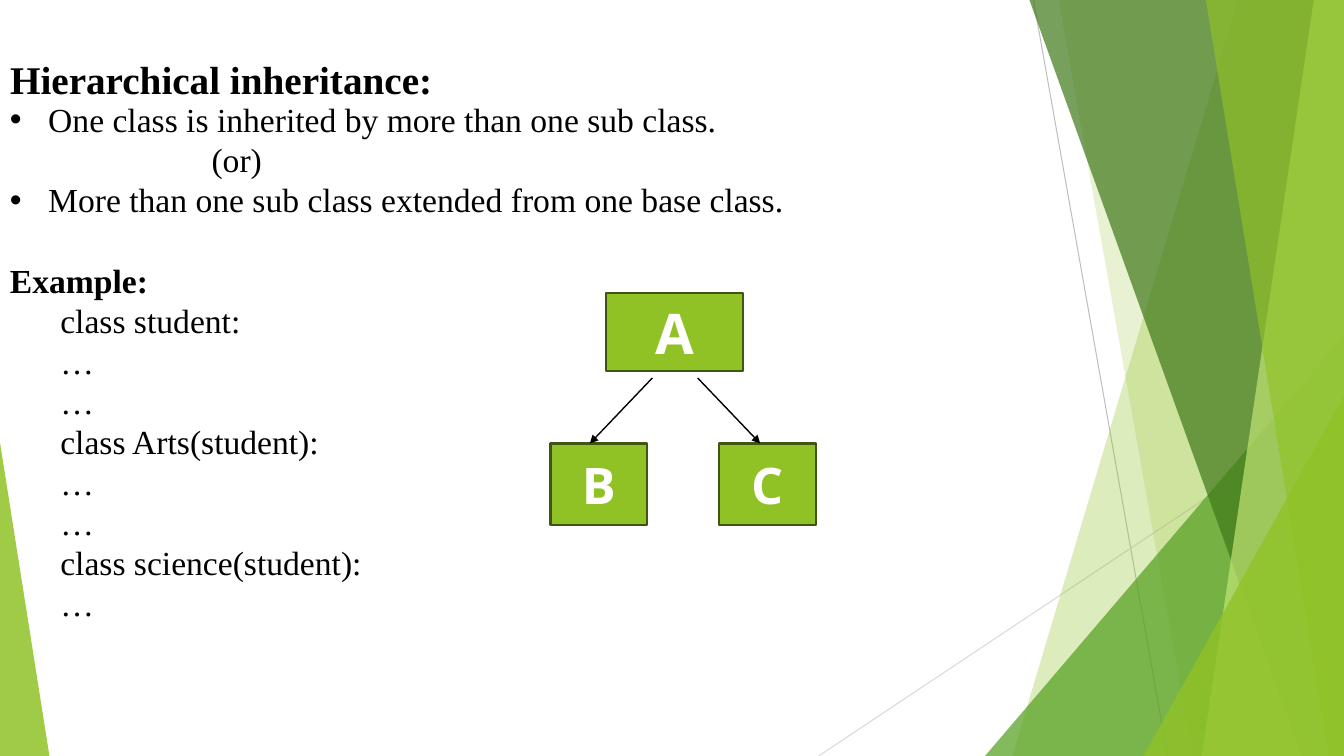
from dataclasses import dataclass

from lxml import etree
from pptx import Presentation
from pptx import util as u
from pptx.dml.color import RGBColor
from pptx.enum import shapes, text
from pptx.oxml import ns

WIDTH, HEIGHT = 13.33, 7.5


@dataclass(frozen=True)
class Theme:
    body_font: str = "Times New Roman"
    node_font: str = "Noto Sans"
    title_size: int = 28
    body_size: int = 24
    line_pitch: float = 28.8
    ink: str = "000000"
    white: str = "FFFFFF"
    lime: str = "90C226"
    green: str = "54A021"
    forest: str = "3F7819"
    pale: str = "C0E474"
    outline: str = "3F5511"
    gray: str = "BFBFBF"
    light_gray: str = "D9D9D9"


class SlideBuilder:
    def __init__(self, prs, theme):
        self.theme = theme
        self.slide = prs.slides.add_slide(prs.slide_layouts[5])
        self.shapes = self.slide.shapes

    def fill(self, sp, color, opacity=100):
        sp.shadow.inherit = False
        sp.fill.solid()
        sp.fill.fore_color.rgb = RGBColor.from_string(color)
        if opacity < 100:
            clr = sp.fill._xPr.find(".//" + ns.qn("a:srgbClr"))
            etree.SubElement(clr, ns.qn("a:alpha"), val=str(opacity * 1000))

    def font(self, p, name, size, color, bold=False):
        p.font.name, p.font.size, p.font.bold = name, u.Pt(size), bold
        p.font.color.rgb = RGBColor.from_string(color)

    def line(self, start, end, color, width, arrow=False):
        sp = self.shapes.add_connector(
            shapes.MSO_CONNECTOR.STRAIGHT, *map(u.Inches, start + end))
        sp.line.color.rgb = RGBColor.from_string(color)
        sp.line.width = u.Pt(width)
        if arrow:
            etree.SubElement(sp.line._get_or_add_ln(), ns.qn("a:tailEnd"), type="triangle")
        etree.SubElement(sp._element.spPr, ns.qn("a:effectLst"))

    def band(self, top_x, bottom_x, color, opacity):
        """Facet from a slanted left edge to the right side of the slide."""
        pen = self.shapes.build_freeform(u.Inches(top_x), 0)
        corners = [(WIDTH, 0), (WIDTH, HEIGHT), (bottom_x, HEIGHT)]
        pen.add_line_segments([(u.Inches(x), u.Inches(y)) for x, y in corners])
        sp = pen.convert_to_shape()
        self.fill(sp, color, opacity)
        sp.line.fill.background()

    def corner(self, x, width, height, apex, color, opacity):
        """Triangle standing on the bottom edge of the slide."""
        sp = self.shapes.add_shape(
            shapes.MSO_SHAPE.ISOSCELES_TRIANGLE,
            *map(u.Inches, (x, HEIGHT - height, width, height)))
        sp.adjustments[0] = apex
        self.fill(sp, color, opacity)
        sp.line.fill.background()

    def title(self, label, x, y, w, h):
        sp = self.shapes.title
        sp.left, sp.top, sp.width, sp.height = map(u.Inches, (x, y, w, h))
        tf = sp.text_frame
        tf.text = label
        tf.auto_size = text.MSO_AUTO_SIZE.NONE
        tf.vertical_anchor = text.MSO_ANCHOR.TOP
        p = tf.paragraphs[0]
        p.alignment = text.PP_ALIGN.LEFT
        self.font(p, self.theme.body_font, self.theme.title_size, self.theme.ink, True)

    def body(self, lines, x, y, w, h):
        """Each line is (text, kind); the kind sets indent, bullet and weight."""
        indents = {"bullet": 0.38, "or": 2.0, "heading": 0, "code": 0.5}
        tf = self.shapes.add_textbox(*map(u.Inches, (x, y, w, h))).text_frame
        tf.word_wrap = True
        for i, (label, kind) in enumerate(lines):
            p = tf.paragraphs[0] if i == 0 else tf.add_paragraph()
            p.text = label
            p.line_spacing = u.Pt(self.theme.line_pitch)
            heading = kind == "heading"
            if heading:
                p.space_before = u.Pt(self.theme.line_pitch)
            self.font(p, self.theme.body_font, self.theme.body_size, self.theme.ink, heading)
            pPr = p._p.get_or_add_pPr()
            pPr.set("marL", str(u.Inches(indents[kind])))
            if kind == "bullet":
                pPr.set("indent", str(-u.Inches(indents[kind])))
                bullet = [("a:buFont", {"typeface": "Arial"}), ("a:buChar", {"char": "•"})]
                for at, (tag, attrs) in enumerate(bullet, len(pPr) - 1):
                    pPr.insert(at, etree.Element(ns.qn(tag), attrs))

    def node(self, label, x, y, w, h, size):
        sp = self.shapes.add_shape(
            shapes.MSO_SHAPE.RECTANGLE, *map(u.Inches, (x, y, w, h)))
        self.fill(sp, self.theme.lime)
        sp.line.color.rgb = RGBColor.from_string(self.theme.outline)
        sp.line.width = u.Pt(1.5)
        tf = sp.text_frame
        tf.text = label
        tf.vertical_anchor = text.MSO_ANCHOR.MIDDLE
        p = tf.paragraphs[0]
        p.alignment = text.PP_ALIGN.CENTER
        self.font(p, self.theme.node_font, size, self.theme.white, True)


def main():
    prs = Presentation()
    prs.slide_width, prs.slide_height = u.Inches(WIDTH), u.Inches(HEIGHT)
    theme = Theme()
    s = SlideBuilder(prs, theme)

    # Faceted background
    s.line((10.25, 0), (11.58, HEIGHT), theme.gray, 0.75)
    s.line((WIDTH, 4.03), (8.12, HEIGHT), theme.light_gray, 0.75)
    s.band(12.28, 10.04, theme.lime, 30)
    s.band(10.5, 11.83, theme.lime, 20)
    s.corner(9.77, 3.56, 4.17, 1, theme.green, 72)
    s.band(10.21, 12.91, theme.forest, 70)
    s.band(13.03, 11.92, theme.pale, 70)
    s.band(11.96, 13.18, theme.lime, 65)
    s.corner(11.34, 1.99, 3.57, 1, theme.lime, 80)
    s.corner(0, 0.49, 3.11, 0, theme.lime, 85)

    # Title and explanation
    s.title("Hierarchical inheritance:", 0, 0.5, 10, 0.55)
    s.body([
        ("One class is inherited by more than one sub class.", "bullet"),
        ("(or)", "or"),
        ("More than one sub class extended from one base class.", "bullet"),
        ("Example:", "heading"),
        ("class student:", "code"),
        ("…", "code"),
        ("…", "code"),
        ("class Arts(student):", "code"),
        ("…", "code"),
        ("…", "code"),
        ("class science(student):", "code"),
        ("…", "code"),
    ], 0, 0.93, WIDTH, 5.77)

    # Class tree: base class A with sub classes B and C
    s.node("A", 6.01, 2.91, 1.36, 0.77, 40)
    for label, x, start_x, end_x in [("B", 5.46, 6.47, 5.85), ("C", 7.13, 6.92, 7.54)]:
        s.node(label, x, 4.4, 0.96, 0.81, 36)
        s.line((start_x, 3.75), (end_x, 4.4), theme.ink, 1, arrow=True)

    prs.save("out.pptx")


if __name__ == "__main__":
    main()
